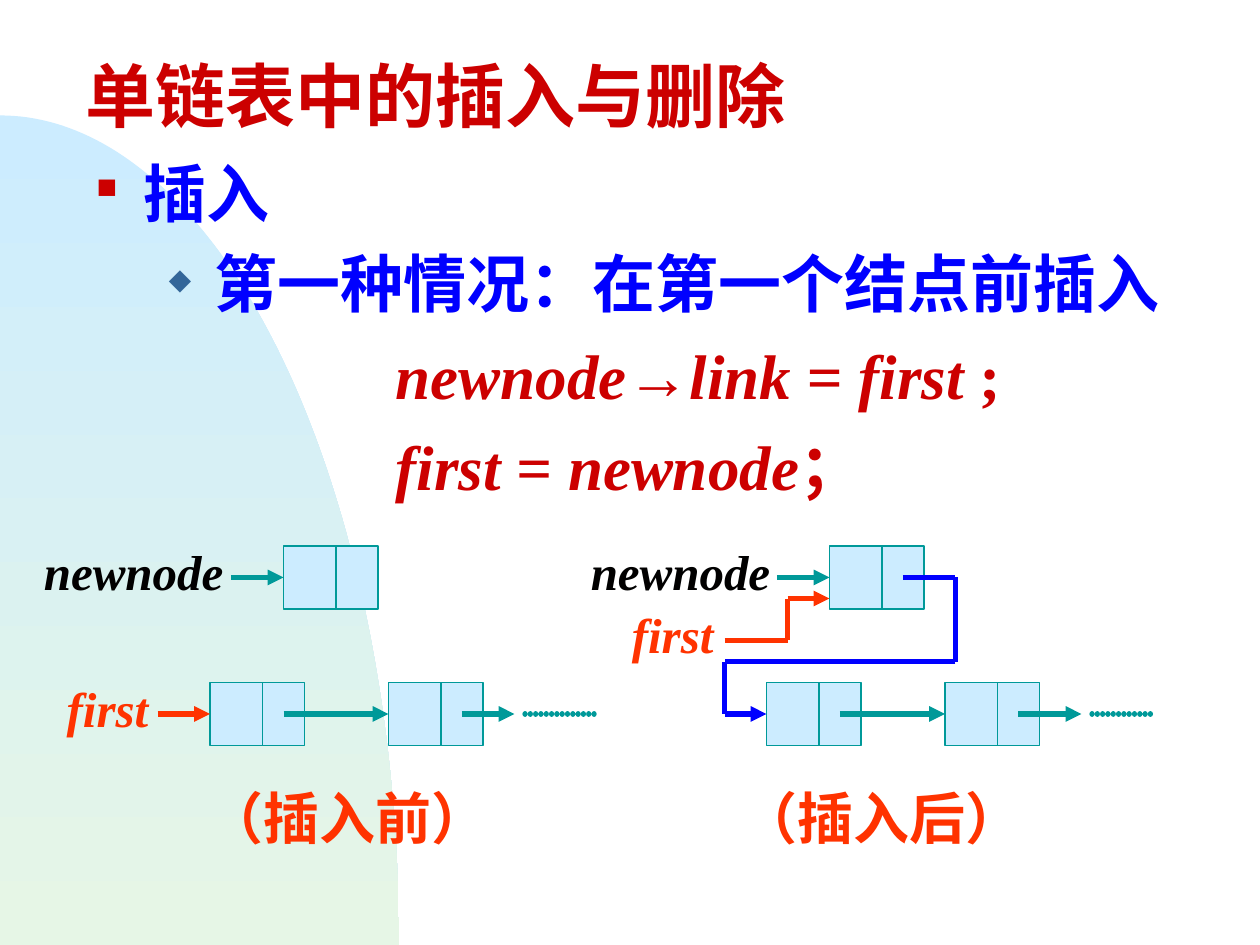
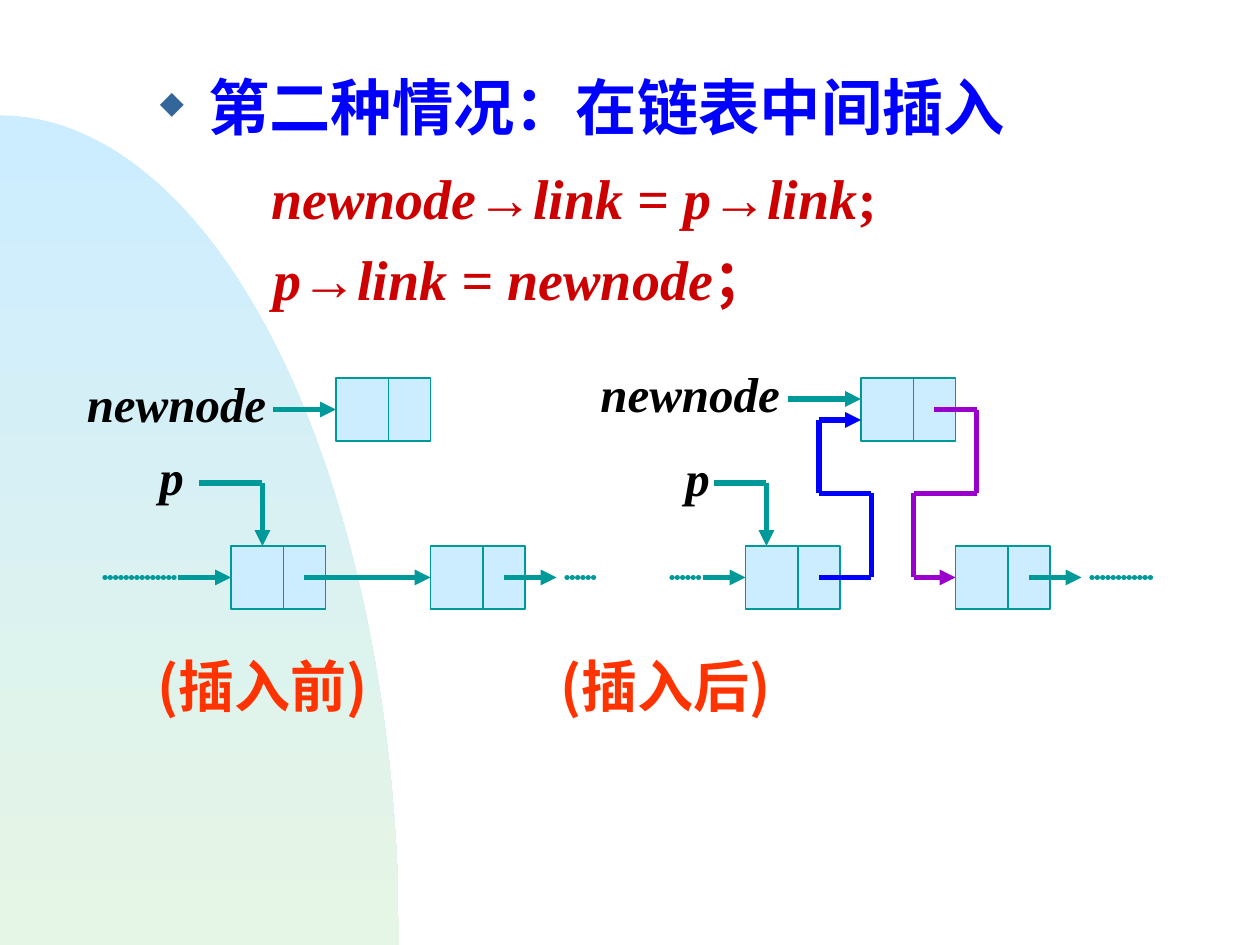
from dataclasses import dataclass
from math import cos, pi, sin

from lxml import etree
from pptx import Presentation
from pptx.dml.color import RGBColor
from pptx.enum import shapes, text
from pptx.oxml.ns import qn
from pptx.util import Pt


@dataclass(frozen=True)
class Theme:
    latin: str = "Times New Roman"
    asian: str = "Noto Sans CJK SC"
    red: str = "CC0000"
    blue: str = "0000FF"
    orange: str = "FF3300"
    teal: str = "009999"
    purple: str = "9900CC"
    black: str = "010000"
    diamond: str = "336699"
    node: str = "CCECFF"
    arc_top: str = "CCECFF"
    arc_bottom: str = "E6F6E6"
    title: int = 40
    heading: int = 36
    subheading: int = 35
    code: int = 32
    caption: int = 32
    label: int = 28
    link_width: float = 3
    node_width: float = 0.75


THEME = Theme()
WIDTH, HEIGHT = 720, 540
NODE_W, NODE_H, DIVIDER = 54, 36, 30
LABEL_WIDTHS = {"newnode": 120, "first": 84, "p": 32}


def rgb(value):
    return RGBColor.from_string(value)


# Text
def add_run(paragraph, words, size, color, italic=False, latin=THEME.latin):
    run = paragraph.add_run()
    run.text = words
    font = run.font
    font.name, font.size = latin, Pt(size)
    font.bold, font.italic = True, italic
    font.color.rgb = rgb(color)
    asian = etree.Element(qn("a:ea"), typeface=THEME.asian)
    run._r.rPr.find(qn("a:latin")).addnext(asian)


def add_frame(slide, left, top, width, height, wrap=False):
    box = slide.shapes.add_textbox(Pt(left), Pt(top), Pt(width), Pt(height))
    box.text_frame.word_wrap = wrap
    return box.text_frame


def add_title(slide, words):
    frame = add_frame(slide, 42, 24, 520, 60)
    frame.vertical_anchor = text.MSO_ANCHOR.MIDDLE
    add_run(frame.paragraphs[0], words, THEME.title, THEME.red)


def add_caption(slide, left, top, words, latin=THEME.latin):
    frame = add_frame(slide, left, top, 175, 54)
    add_run(frame.paragraphs[0], words, THEME.caption, THEME.orange, latin=latin)


def add_label(slide, left, top, words, color=THEME.black):
    frame = add_frame(slide, left, top, LABEL_WIDTHS[words], 41)
    add_run(frame.paragraphs[0], words, THEME.label, color, italic=True)


def next_paragraph(frame, pitch, margin, indent=0):
    """Return a fresh paragraph with a fixed line height and a left margin."""
    paragraph = frame.paragraphs[0]
    if paragraph.runs:
        paragraph = frame.add_paragraph()
    paragraph.line_spacing = Pt(pitch)
    properties = paragraph._p.get_or_add_pPr()
    properties.set("marL", str(Pt(margin)))
    properties.set("indent", str(Pt(indent)))
    return paragraph


def add_bullet_line(frame, words, size, pitch, margin, indent, mark, mark_color, percent):
    paragraph = next_paragraph(frame, pitch, margin, indent)
    properties = paragraph._p.pPr
    color = etree.SubElement(properties, qn("a:buClr"))
    etree.SubElement(color, qn("a:srgbClr"), val=mark_color)
    etree.SubElement(properties, qn("a:buSzPct"), val=str(percent * 1000))
    etree.SubElement(properties, qn("a:buChar"), char=mark)
    add_run(paragraph, words, size, THEME.blue)


def add_code_line(frame, pieces, size, pitch, margin):
    """Pieces split by | alternate between italic names and upright symbols."""
    paragraph = next_paragraph(frame, pitch, margin)
    for index, piece in enumerate(pieces.split("|")):
        add_run(paragraph, piece, size, THEME.red, italic=index % 2 == 0)


# List diagram
def add_line(slide, start, end, color, width):
    line = slide.shapes.add_connector(
        shapes.MSO_CONNECTOR.STRAIGHT, *(Pt(v) for v in (*start, *end)))
    line.line.color.rgb = rgb(color)
    line.line.width = Pt(width)
    etree.SubElement(line._element.spPr, qn("a:effectLst"))
    return line


def add_link(slide, *corners, color=THEME.teal):
    """Draw a right-angled pointer through the corners, with an arrowhead at the end."""
    for start, end in zip(corners, corners[1:]):
        segment = add_line(slide, start, end, color, THEME.link_width)
    outline = segment._element.spPr.find(qn("a:ln"))
    etree.SubElement(outline, qn("a:tailEnd"), type="triangle")


def add_row_links(slide, y, *spans):
    for start, end in spans:
        add_link(slide, (start, y), (end, y))


def add_dots(slide, y, *spans):
    """Draw rows of touching round dots."""
    for start, end in spans:
        dots = add_line(slide, (start, y), (end, y), THEME.teal, THEME.link_width)
        outline = dots._element.spPr.find(qn("a:ln"))
        outline.set("cap", "rnd")
        dash = etree.SubElement(outline, qn("a:custDash"))
        etree.SubElement(dash, qn("a:ds"), d="100000", sp="1000")


def add_nodes(slide, top, *lefts):
    for left in lefts:
        node = slide.shapes.add_shape(
            shapes.MSO_SHAPE.RECTANGLE, Pt(left), Pt(top), Pt(NODE_W), Pt(NODE_H))
        node.shadow.inherit = False
        node.fill.solid()
        node.fill.fore_color.rgb = rgb(THEME.node)
        node.line.color.rgb = rgb(THEME.teal)
        node.line.width = Pt(THEME.node_width)
        x = left + DIVIDER
        add_line(slide, (x, top), (x, top + NODE_H), THEME.teal, THEME.node_width)


# Shared background
def add_background(slide, radius_x=228, radius_y=474, steps=90):
    angles = [pi / 2 * step / steps for step in range(steps + 1)]
    curve = [(Pt(radius_x * sin(a)), Pt(HEIGHT - radius_y * cos(a))) for a in angles]
    builder = slide.shapes.build_freeform(*curve[0])
    builder.add_line_segments(curve[1:] + [(0, Pt(HEIGHT))], close=True)
    arc = builder.convert_to_shape()
    arc.shadow.inherit = False
    arc.line.fill.background()
    arc.fill.gradient()
    arc.fill.gradient_angle = 270
    for stop, color in zip(arc.fill.gradient_stops, (THEME.arc_top, THEME.arc_bottom)):
        stop.color.rgb = rgb(color)


def new_slide(deck):
    slide = deck.slides.add_slide(deck.slide_layouts[6])
    add_background(slide)
    return slide


def build_insert_at_head(deck):
    slide = new_slide(deck)
    add_title(slide, "单链表中的插入与删除")

    body = add_frame(slide, 48, 75.8, 672, 220, wrap=True)
    add_bullet_line(body, "插入", THEME.heading, 52, 27, -27, "■", THEME.red, 45)
    add_bullet_line(body, "第一种情况：在第一个结点前插入", THEME.heading, 51.5,
                    67.7, -26.3, "◆", THEME.diamond, 46)
    add_code_line(body, "newnode|→|link| = |first| ;", THEME.heading, 52.8, 171)
    add_code_line(body, "first| = |newnode|；", THEME.heading, 51.7, 171)

    add_caption(slide, 111.6, 443.9, "（插入前）")
    add_caption(slide, 416.8, 443.9, "（插入后）")

    # Nodes and the links between them
    new_y, list_y = 330, 408
    add_nodes(slide, 312, 162, 474)
    add_nodes(slide, 390, 120, 222, 438, 540)
    add_row_links(slide, new_y, (132, 162), (444, 474))
    add_row_links(slide, list_y, (162, 222), (264, 294), (480, 540), (582, 618))
    add_dots(slide, list_y, (300, 342), (624, 660))

    # Pointers before and after
    add_link(slide, (90, list_y), (120, list_y), color=THEME.orange)
    add_link(slide, (414, 366), (450, 366), (450, 342), (474, 342), color=THEME.orange)
    add_link(slide, (516, new_y), (546, new_y), (546, 378), (414, 378),
             (414, list_y), (438, list_y), color=THEME.blue)
    add_label(slide, 18, 306, "newnode")
    add_label(slide, 330.5, 306, "newnode")
    add_label(slide, 31, 384, "first", THEME.orange)
    add_label(slide, 354, 342, "first", THEME.orange)


def build_insert_in_middle(deck):
    slide = new_slide(deck)
    body = add_frame(slide, 42, 27, 678, 160, wrap=True)
    add_bullet_line(body, "第二种情况：在链表中间插入", THEME.subheading, 51,
                    70, -27.7, "◆", THEME.diamond, 51)
    add_code_line(body, "newnode|→|link| = |p|→|link|;", THEME.code, 50.1, 106)
    add_code_line(body, "p|→|link| = |newnode|；", THEME.code, 46.5, 107)

    add_caption(slide, 83, 368.7, "(插入前)", THEME.asian)
    add_caption(slide, 313, 368.7, "(插入后)", THEME.asian)

    # Nodes and the links between them
    list_y = 330
    add_nodes(slide, 216, 192, 492)
    add_nodes(slide, 312, 132, 246, 426, 546)
    add_row_links(slide, 234, (156, 192))
    add_row_links(slide, 228, (450, 492))
    add_row_links(slide, list_y, (102, 132), (174, 246), (288, 318), (402, 426), (588, 618))
    add_dots(slide, list_y, (60, 102), (324, 342), (384, 402), (624, 660))

    # Pointers before and after
    for start, node_top in ((114, 150), (408, 438)):
        add_link(slide, (start, 276), (node_top, 276), (node_top, 312))
    add_link(slide, (534, 234), (558, 234), (558, 282), (522, 282),
             (522, list_y), (546, list_y), color=THEME.purple)
    add_link(slide, (468, list_y), (498, list_y), (498, 282), (468, 282),
             (468, 240), (492, 240), color=THEME.blue)
    add_label(slide, 42.5, 210, "newnode")
    add_label(slide, 336, 204, "newnode")
    add_label(slide, 84, 251.5, "p")
    add_label(slide, 384.5, 252, "p")


def main():
    deck = Presentation()
    deck.slide_width, deck.slide_height = Pt(WIDTH), Pt(HEIGHT)
    build_insert_at_head(deck)
    build_insert_in_middle(deck)
    deck.save("out.pptx")


if __name__ == "__main__":
    main()
